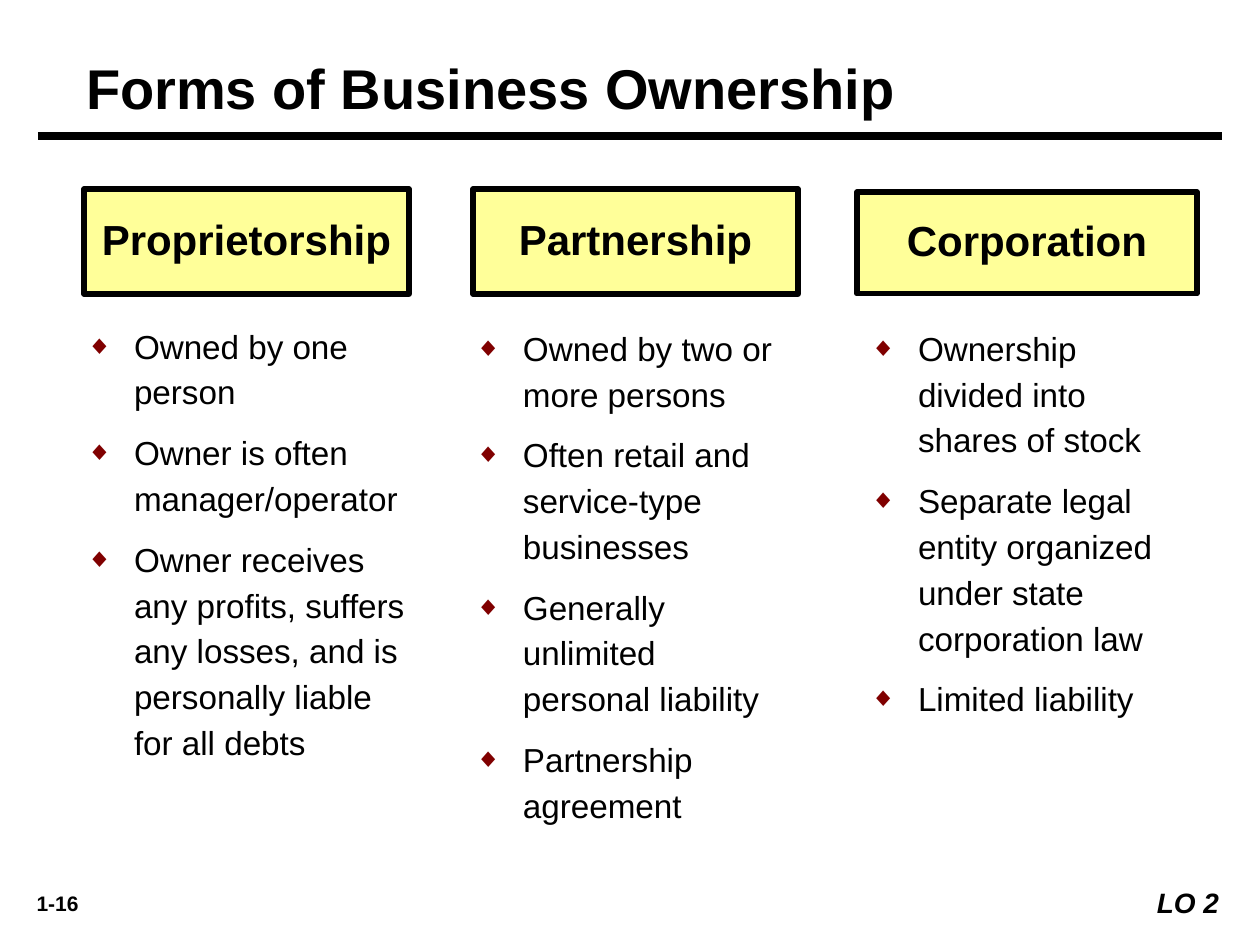
from lxml.etree import SubElement
from pptx import Presentation
from pptx.dml.color import RGBColor
from pptx.enum.shapes import MSO_CONNECTOR, MSO_SHAPE
from pptx.enum.text import MSO_ANCHOR, MSO_AUTO_SIZE, PP_ALIGN
from pptx.oxml.ns import qn
from pptx.util import Emu, Pt

COLORS = {"ink": "000000", "header": "FFFF99", "bullet": "800000", "paper": "FFFFFF"}

COLUMNS = [
    ("Proprietorship", (84, 189, 325, 105), 1, (73, 305, 357, 557), [
        "Owned by one person",
        "Owner is often manager/operator",
        "Owner receives any profits, suffers any losses, and is personally liable for all debts",
    ]),
    ("Partnership", (473, 189, 325, 105), 2, (462, 307, 339, 553), [
        "Owned by two or more persons",
        "Often retail and service-type businesses",
        "Generally unlimited personal liability",
        "Partnership agreement",
    ]),
    ("Corporation", (857, 192, 340, 102), 4, (857, 307, 339, 553), [
        "Ownership divided into shares of stock",
        "Separate legal entity organized under state corporation law",
        "Limited liability",
    ]),
]


def px(n):
    return Emu(round(n * 914400 / 126))


def rgb(name):
    return RGBColor.from_string(COLORS[name])


def place(sp, box):
    sp.left, sp.top, sp.width, sp.height = map(px, box)


def add_bullet(p):
    pPr = p._p.get_or_add_pPr()
    pPr.set("marL", str(px(48)))
    pPr.set("indent", str(-px(48)))
    color = SubElement(pPr, qn("a:buClr"))
    SubElement(color, qn("a:srgbClr"), val=COLORS["bullet"])
    SubElement(pPr, qn("a:buSzPct"), val="80000")
    SubElement(pPr, qn("a:buChar"), char="◆")


def set_text(sp, lines, size, bold=False, italic=False, align=PP_ALIGN.LEFT,
             anchor=MSO_ANCHOR.TOP, insets=(13, 6, 13, 6), bullets=False,
             spacing=1.0, gap=0):
    tf = sp.text_frame
    tf.word_wrap = True
    tf.auto_size = MSO_AUTO_SIZE.NONE
    tf.vertical_anchor = anchor
    tf.margin_left, tf.margin_top, tf.margin_right, tf.margin_bottom = map(px, insets)
    for i, line in enumerate(lines):
        p = tf.add_paragraph() if i else tf.paragraphs[0]
        if bullets:
            add_bullet(p)
        p.alignment = align
        p.line_spacing = spacing
        p.space_before = Pt(gap if i else 0)
        r = p.add_run()
        r.text = line
        r.font.name = "Arial"
        r.font.size = Pt(size)
        r.font.bold = bold
        r.font.italic = italic
        r.font.color.rgb = rgb("ink")


def add_box(s, box, fill, line_width=0):
    sp = s.shapes.add_shape(MSO_SHAPE.RECTANGLE, *map(px, box))
    sp.shadow.inherit = False
    sp.fill.solid()
    sp.fill.fore_color.rgb = rgb(fill)
    if line_width:
        sp.line.color.rgb = rgb("ink")
        sp.line.width = Pt(line_width)
    else:
        sp.line.fill.background()
    return sp


def add_rule(s, x1, x2, y):
    line = s.shapes.add_connector(MSO_CONNECTOR.STRAIGHT, px(x1), px(y), px(x2), px(y))
    line.line.color.rgb = rgb("ink")
    line.line.width = Pt(4.5)
    SubElement(line._element.spPr, qn("a:effectLst"))


def add_column(s, bodies, heading, head_box, idx, list_box, items):
    head = add_box(s, head_box, "header", 3)
    set_text(head, [heading], 24, bold=True, align=PP_ALIGN.CENTER,
             anchor=MSO_ANCHOR.MIDDLE, insets=(13, 0, 13, 6))
    body = bodies.pop(idx)
    place(body, list_box)
    set_text(body, items, 19, insets=(13, 15, 13, 6), bullets=True,
             spacing=1.15, gap=8.5)


def main():
    prs = Presentation()
    prs.slide_width, prs.slide_height = px(1260), px(945)
    s = prs.slides.add_slide(prs.slide_layouts.get_by_name("Comparison"))
    bodies = {ph.placeholder_format.idx: ph for ph in s.placeholders}

    title = bodies.pop(0)
    place(title, (73, 42, 1113, 77))
    set_text(title, ["Forms of Business Ownership"], 32, bold=True, insets=(13, 11, 13, 6))
    add_rule(s, 42 - 4, 1222, 136)

    for column in COLUMNS:
        add_column(s, bodies, *column)
    for ph in bodies.values():
        ph._element.getparent().remove(ph._element)

    number = s.shapes.add_textbox(*map(px, (10, 882, 95, 38)))
    set_text(number, ["1-16"], 12, bold=True, align=PP_ALIGN.CENTER, insets=(13, 9, 13, 6))
    objective = add_box(s, (1134, 878, 105, 47), "paper")
    set_text(objective, ["LO 2"], 16, bold=True, italic=True, align=PP_ALIGN.RIGHT,
             insets=(13, 8, 20, 6))

    prs.save("out.pptx")


if __name__ == "__main__":
    main()
